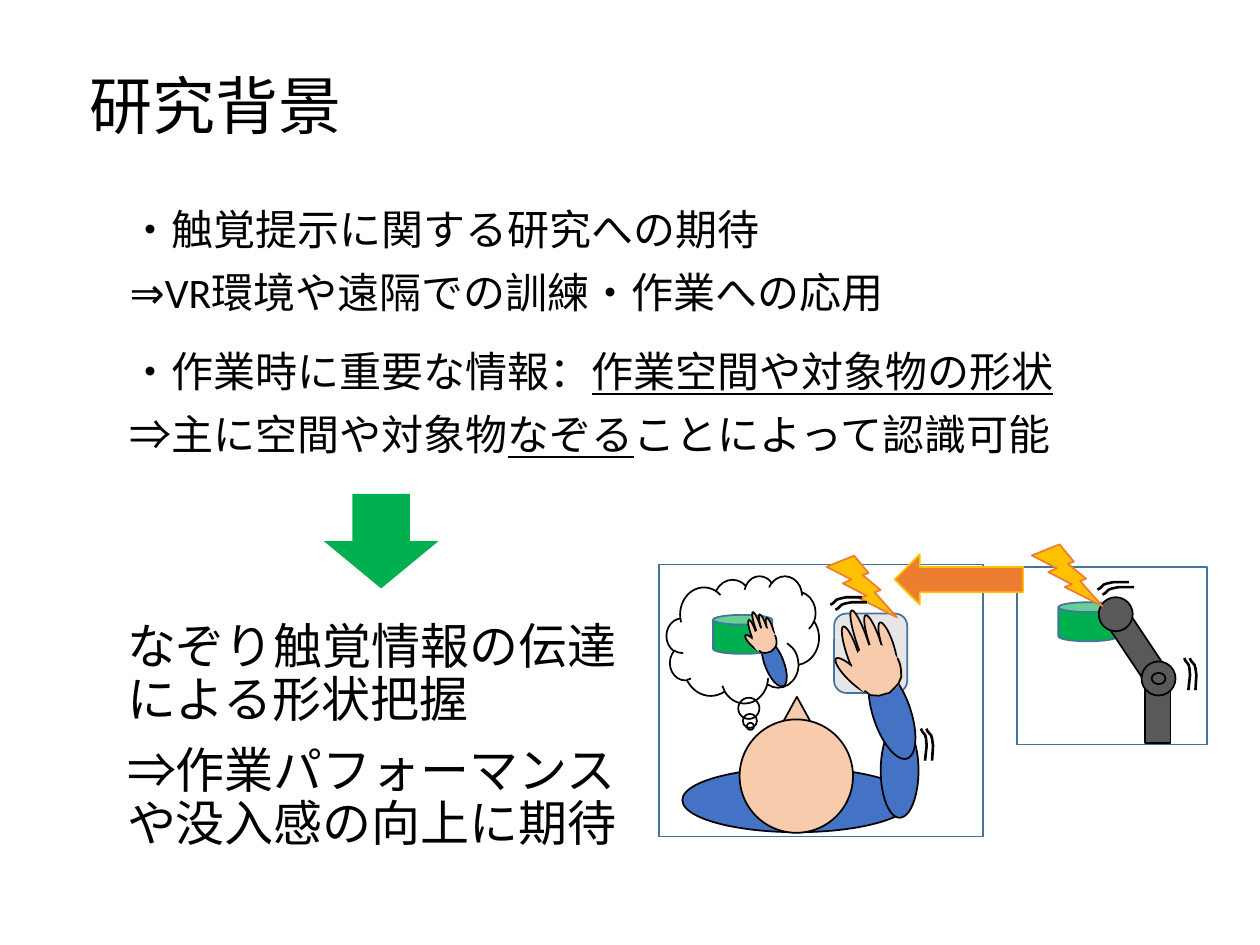
import pptx
import pptx.dml.color
import pptx.enum.shapes
import pptx.util
from dataclasses import dataclass

Inches = pptx.util.Inches
Kind = pptx.enum.shapes.MSO_SHAPE


@dataclass(frozen=True)
class Theme:
    font: str = "Calibri"
    title: int = 36
    body: int = 24
    conclusion: int = 28
    thin: float = 1
    thick: float = 1.5
    black: str = "000000"
    green: str = "00B050"
    blue: str = "4472C4"
    edge: str = "43739E"
    skin: str = "F8CBAD"
    shade: str = "F4B183"
    pad: str = "E7E6E6"
    metal: str = "595959"
    orange: str = "ED7D31"
    gold: str = "FFC000"


FINGERS = [
    (-0.05, -0.16, 0.09, 0.45, 341.4),
    (0.03, -0.29, 0.09, 0.54, 341.4),
    (0.13, -0.25, 0.09, 0.47, 341.4),
    (0.23, -0.19, 0.09, 0.38, 341.4),
    (-0.05, 0.05, 0.10, 0.38, 314.6),
]
PALM_EDGE = [(0.35, 0), (0.35, 0.05), (0.34, 0.10), (0.32, 0.15), (0.28, 0.19),
             (0.19, 0.23), (0.10, 0.22), (0.04, 0.19), (0.01, 0.14)]
MOTION = [(0, 0.06), (0.02, 0.05), (0.05, 0.02), (0.08, 0.01), (0.13, 0), (0.25, 0)]


class SlideBuilder:
    def __init__(self, page, theme):
        self.page = page
        self.theme = theme
        self.shapes = page.shapes

    def start_group(self):
        self.shapes = self.page.shapes.add_group_shape().shapes

    def text(self, place, paragraphs, size):
        box = self.shapes.add_textbox(*map(Inches, place))
        box.text_frame.word_wrap = True
        for index, spans in enumerate(paragraphs):
            para = box.text_frame.paragraphs[0] if index == 0 else box.text_frame.add_paragraph()
            for name, value in {"line_spacing": 0.9, "space_before": pptx.util.Pt(10)}.items():
                setattr(para, name, value)
            for words, underline in spans:
                span = para.add_run()
                span.text = words
                style = {"name": self.theme.font, "size": pptx.util.Pt(size), "underline": underline}
                for name, value in style.items():
                    setattr(span.font, name, value)
                span.font.color.rgb = pptx.dml.color.RGBColor.from_string(self.theme.black)

    def paint(self, shape, fill, line, width, rotation):
        shape.shadow.inherit = False
        shape.rotation = rotation
        for target, color in ((shape.fill, fill), (shape.line.fill, line)):
            if color is None:
                target.background()
            else:
                target.solid()
                target.fore_color.rgb = pptx.dml.color.RGBColor.from_string(color)
        if line:
            shape.line.width = pptx.util.Pt(width)

    def shape(self, kind, place, fill=None, line=None, rotation=0, adjust=()):
        shape = self.shapes.add_shape(kind, *map(Inches, place))
        for index, value in enumerate(adjust):
            shape.adjustments[index] = value
        self.paint(shape, fill, line, self.theme.thin, rotation)

    def curve(self, left, top, offsets, line, width, rotation=0, scale=1):
        points = [(Inches(left + x * scale), Inches(top + y * scale)) for x, y in offsets]
        builder = self.shapes.build_freeform(*points[0])
        builder.add_line_segments(points[1:], close=False)
        self.paint(builder.convert_to_shape(), None, line, width, rotation)

    def hand(self, left, top, scale):
        theme = self.theme
        for x, y, width, height, turn in FINGERS:
            place = (left + x * scale, top + y * scale, width * scale, height * scale)
            self.shape(Kind.OVAL, place, theme.skin, theme.black, turn)
        self.shape(Kind.OVAL, (left, top, 0.37 * scale, 0.4 * scale), theme.skin, theme.skin, 341.4)
        self.curve(left + 0.06 * scale, top + 0.16 * scale, PALM_EDGE, theme.black,
                   theme.thin, 337.8, scale)

    def motion_marks(self, marks):
        for left, top, turn in marks:
            self.curve(left, top, MOTION, self.theme.black, self.theme.thick, turn)


def add_texts(slide, theme):
    slide.text((0.61, 0.55, 2.74, 0.58), [[("研究背景", False)]], theme.title)
    slide.text((0.93, 1.61, 8.17, 1.04), [
        [("・触覚提示に関する研究への期待", False)],
        [("⇒VR環境や遠隔での訓練・作業への応用", False)],
    ], theme.body)
    slide.text((0.93, 2.74, 8.66, 1.07), [
        [("・作業時に重要な情報：", False), ("作業空間や対象物の形状", True)],
        [("⇒主に空間や対象物", False), ("なぞる", True), ("ことによって認識可能", False)],
    ], theme.body)
    slide.text((0.91, 4.89, 4.22, 1.99), [
        [("なぞり触覚情報の伝達による形状把握", False)],
        [("⇒作業パフォーマンスや没入感の向上に期待", False)],
    ], theme.conclusion)
    slide.shape(Kind.DOWN_ARROW, (2.57, 3.92, 0.91, 0.75), theme.green)


def add_person(slide, theme):
    for place, turn in [((6.07, 5.07, 0.15, 0.39), 338.8), ((6.07, 5.44, 0.51, 1.82), 90),
                        ((6.99, 5.74, 0.3, 0.75), 0)]:
        slide.shape(Kind.OVAL, place, theme.blue, theme.black, turn)
    slide.shape(Kind.ROUNDED_RECTANGLE, (6.62, 4.87, 0.58, 0.63), theme.pad, theme.edge)
    slide.shape(Kind.OVAL, (6.93, 5.29, 0.3, 0.75), theme.blue, theme.black, 341.4)
    slide.curve(6.83, 5.28, PALM_EDGE, theme.shade, theme.thin, 341.4)
    slide.hand(6.77, 5.12, 1)
    slide.shape(Kind.ISOSCELES_TRIANGLE, (6.21, 5.53, 0.23, 0.21), theme.skin, theme.black)
    slide.shape(Kind.OVAL, (5.87, 5.71, 0.9, 0.9), theme.skin, theme.black)
    slide.shape(Kind.RECTANGLE, (5.23, 4.48, 2.57, 2.16), None, theme.edge)


def add_robot(slide, theme):
    slide.shape(Kind.CAN, (8.4, 4.78, 0.47, 0.31), theme.green, theme.edge)
    for kind, place, turn in [
        (Kind.RECTANGLE, (9.09, 5.32, 0.2, 0.58), 0),
        (Kind.RECTANGLE, (8.96, 4.9, 0.2, 0.58), 326.3),
        (Kind.OVAL, (9.06, 5.25, 0.27, 0.27), 0),
        (Kind.OVAL, (8.72, 4.74, 0.27, 0.27), 0),
        (Kind.OVAL, (9.14, 5.34, 0.11, 0.09), 0),
    ]:
        slide.shape(kind, place, theme.metal, theme.black, turn)
    slide.shape(Kind.RECTANGLE, (8.07, 4.5, 1.51, 1.41), None, theme.edge)
    slide.motion_marks([(8.75, 4.66, 0), (8.71, 4.62, 0)])


def add_transmission(slide, theme):
    for left, top in [(8.19, 4.32), (6.56, 4.41)]:
        slide.shape(Kind.LIGHTNING_BOLT, (left, top, 0.56, 0.49), theme.gold, theme.orange)
    slide.shape(Kind.CAN, (5.66, 4.88, 0.47, 0.31), theme.green, theme.edge)
    slide.shape(Kind.CLOUD_CALLOUT, (5.29, 4.57, 1.21, 1.01), None, theme.black,
                adjust=(0.05, 0.683))
    slide.motion_marks([(6.63, 4.78, 0), (6.59, 4.74, 0), (7.25, 5.88, 93.4),
                        (7.2, 5.88, 96.3), (9.34, 5.32, 93.4), (9.29, 5.32, 96.3)])
    slide.shape(Kind.LEFT_ARROW, (7.1, 4.4, 1.02, 0.4), theme.orange, theme.gold)
    slide.hand(5.98, 4.99, 0.48)


def main():
    deck = pptx.Presentation()
    deck.slide_width, deck.slide_height = Inches(10), Inches(7.5)
    theme = Theme()
    slide = SlideBuilder(deck.slides.add_slide(deck.slide_layouts[6]), theme)
    add_texts(slide, theme)
    slide.start_group()
    add_person(slide, theme)
    add_robot(slide, theme)
    add_transmission(slide, theme)
    deck.save("out.pptx")


if __name__ == "__main__":
    main()
